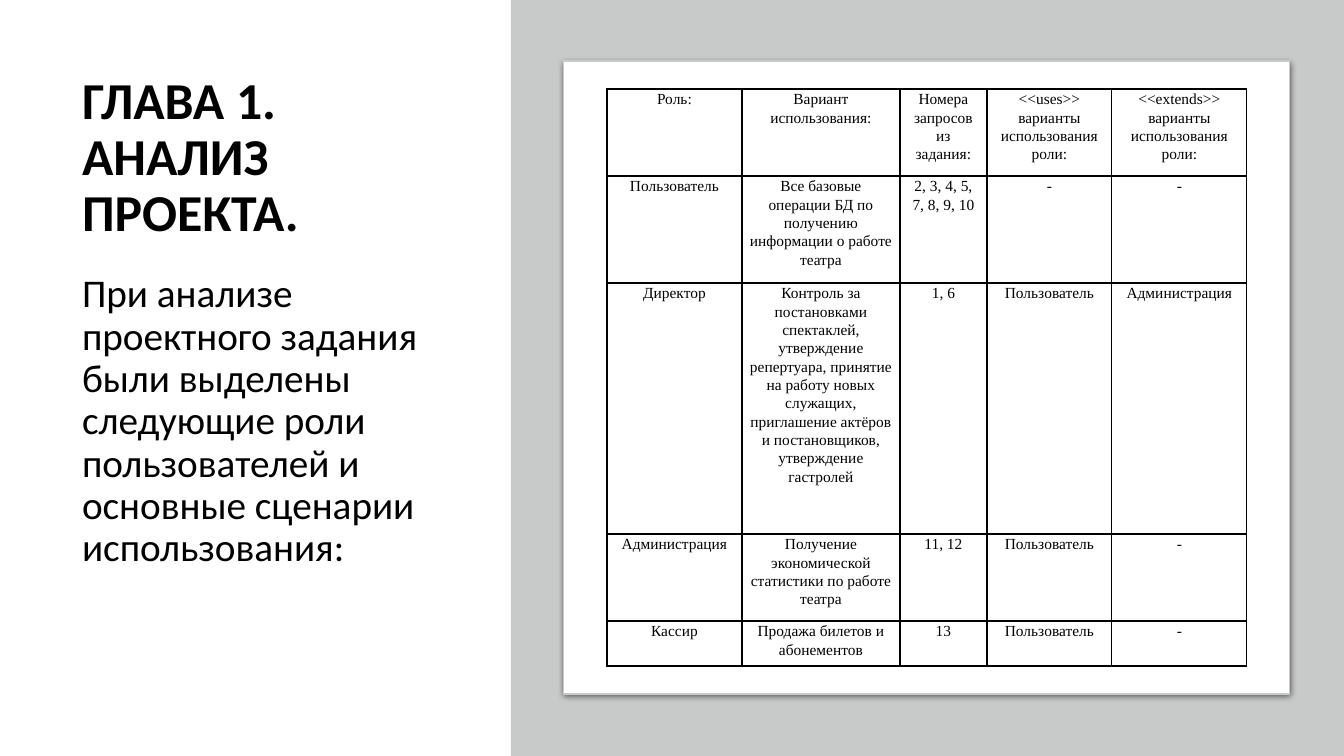
"""Builds the slide on user roles and use cases of a theatre database."""
from dataclasses import dataclass

from lxml import etree
from pptx import Presentation
from pptx import util as u
from pptx.dml.color import RGBColor
from pptx.enum import shapes, text
from pptx.oxml import ns

SLIDE_SIZE = (1344, 756)
EMU_PER_PX = u.Inches(10) / 1008


@dataclass(frozen=True)
class Theme:
    ink: str = "000000"
    paper: str = "FFFFFF"
    backdrop: str = "C8CACA"
    text_font: str = "Calibri"
    table_font: str = "Times New Roman"
    title_size: int = 37
    body_size: int = 28
    table_size: int = 11


THEME = Theme()

HEADING = "ГЛАВА 1. АНАЛИЗ ПРОЕКТА."
INTRO = (
    "При анализе проектного задания были выделены следующие роли "
    "пользователей и основные сценарии использования:"
)
ROLES = [
    ["Роль:", "Вариант использования:", "Номера запросов из задания:",
     "<<uses>> варианты использования роли:",
     "<<extends>> варианты использования роли:"],
    ["Пользователь",
     "Все базовые операции БД по получению информации о работе театра",
     "2, 3, 4, 5, 7, 8, 9, 10", "-", "-"],
    ["Директор",
     "Контроль за постановками спектаклей, утверждение репертуара, "
     "принятие на работу новых служащих, приглашение актёров и "
     "постановщиков, утверждение гастролей",
     "1, 6", "Пользователь", "Администрация"],
    ["Администрация", "Получение экономической статистики по работе театра",
     "11, 12", "Пользователь", "-"],
    ["Кассир", "Продажа билетов и абонементов", "13", "Пользователь", "-"],
]
COLUMN_WIDTHS = [135, 158, 87, 125, 135]
ROW_HEIGHTS = [87, 107, 251, 87, 45]


def px(length):
    """Turn pixels into EMU."""
    return u.Emu(round(length * EMU_PER_PX))


def add_xml(parent, tag, **attributes):
    """Append a DrawingML element and return it."""
    return etree.SubElement(parent, ns.qn(tag), attributes)


def write(frame, words, size, font, align, spacing, bold=False):
    """Put one formatted paragraph into a text frame."""
    frame.text = words
    paragraph = frame.paragraphs[0]
    paragraph.alignment = align
    paragraph.line_spacing = spacing
    for run in paragraph.runs:
        run.font.size = u.Pt(size)
        run.font.name = font
        run.font.bold = bold
        run.font.color.rgb = RGBColor.from_string(THEME.ink)
    return paragraph


def fill_placeholder(placeholder, box, words, size, anchor, bold=False):
    """Move a placeholder and give it left-aligned text without a bullet."""
    (placeholder.left, placeholder.top,
     placeholder.width, placeholder.height) = map(px, box)
    frame = placeholder.text_frame
    frame.word_wrap = True
    frame.auto_size = text.MSO_AUTO_SIZE.NONE
    frame.vertical_anchor = anchor
    paragraph = write(frame, words, size, THEME.text_font,
                      text.PP_ALIGN.LEFT, 0.9, bold)
    properties = paragraph._p.get_or_add_pPr()
    properties.set("marL", "0")
    properties.set("indent", "0")
    paragraph.space_before = u.Pt(0 if bold else 10)
    add_xml(properties, "a:buNone")


def add_panel(slide, kind, box, color):
    """Add a plain filled shape."""
    panel = slide.shapes.add_shape(kind, *map(px, box))
    panel.shadow.inherit = False
    panel.fill.solid()
    panel.fill.fore_color.rgb = RGBColor.from_string(color)
    panel.line.fill.background()
    return panel


def add_card(slide, box):
    """Add the white outlined card with a soft shadow."""
    card = add_panel(slide, shapes.MSO_SHAPE.ROUNDED_RECTANGLE, box, THEME.paper)
    card.adjustments[0] = 0
    card.line.color.rgb = RGBColor.from_string(THEME.backdrop)
    card.line.width = u.Pt(0.75)
    effects = card._element.spPr.find(ns.qn("a:effectLst"))
    shadow = add_xml(effects, "a:outerShdw", blurRad=str(u.Pt(4.5)),
                     dist=str(u.Pt(1.5)), dir="5400000", algn="ctr",
                     rotWithShape="0")
    tint = add_xml(shadow, "a:srgbClr", val=THEME.ink)
    add_xml(tint, "a:alpha", val="63000")


def add_borders(cell):
    """Draw a thin line on all four sides of a cell."""
    properties = cell._tc.get_or_add_tcPr()
    for position, side in enumerate("LRTB"):
        border = add_xml(properties, f"a:ln{side}", w=str(u.Pt(1)))
        add_xml(add_xml(border, "a:solidFill"), "a:srgbClr", val=THEME.ink)
        properties.insert(position, border)


def add_role_table(slide, left, top):
    """Add the bordered table of roles."""
    size = sum(COLUMN_WIDTHS), sum(ROW_HEIGHTS)
    table = slide.shapes.add_table(
        len(ROLES), len(COLUMN_WIDTHS), *map(px, (left, top, *size))).table
    table.first_row = table.horz_banding = False
    for column, width in zip(table.columns, COLUMN_WIDTHS):
        column.width = px(width)
    for row, height, entries in zip(table.rows, ROW_HEIGHTS, ROLES):
        row.height = px(height)
        for cell, words in zip(row.cells, entries):
            cell.margin_left = cell.margin_right = px(7)
            cell.margin_top, cell.margin_bottom = px(1), 0
            cell.fill.background()
            write(cell.text_frame, words, THEME.table_size, THEME.table_font,
                  text.PP_ALIGN.CENTER, 1.07)
            add_borders(cell)


def main():
    """Build and save the slide."""
    deck = Presentation()
    deck.slide_width, deck.slide_height = map(px, SLIDE_SIZE)
    slide = deck.slides.add_slide(deck.slide_layouts[1])
    heading, intro = slide.placeholders
    fill_placeholder(heading, (72, 70, 386, 178), HEADING, THEME.title_size,
                     text.MSO_ANCHOR.MIDDLE, bold=True)
    fill_placeholder(intro, (72, 269, 386, 417), INTRO, THEME.body_size,
                     text.MSO_ANCHOR.TOP)
    add_panel(slide, shapes.MSO_SHAPE.RECTANGLE, (511, 0, 833, 756),
              THEME.backdrop)
    add_card(slide, (564, 61, 726, 633))
    add_role_table(slide, 607, 89)
    deck.save("out.pptx")


if __name__ == "__main__":
    main()
